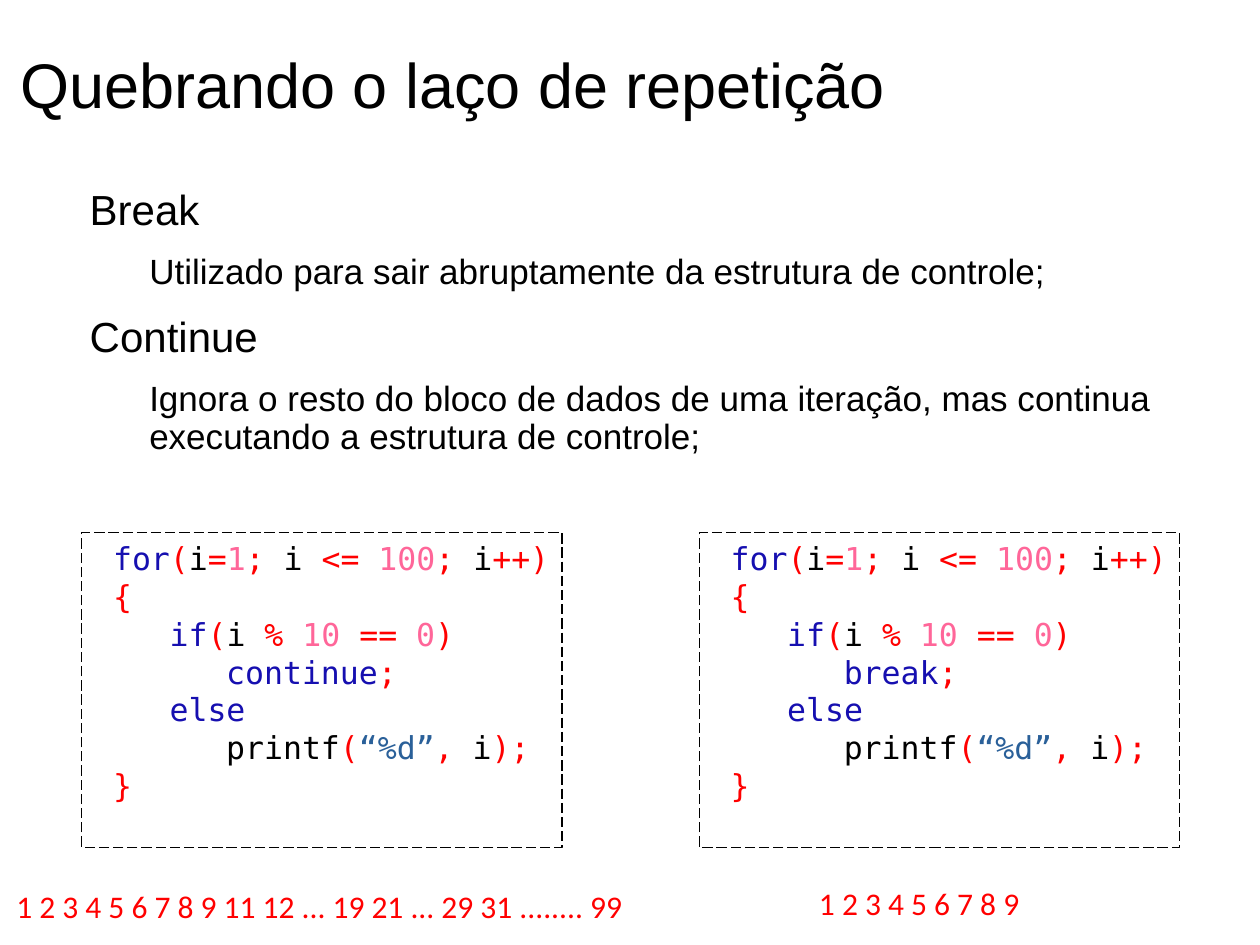
"""Build a slide on break and continue inside a C loop."""
from pptx import Presentation
from pptx import util as u
from pptx.dml.color import RGBColor
from pptx.enum import dml, shapes, text

COLORS = {"plain": "000000", "keyword": "160FB0", "symbol": "FF0000",
          "number": "FF6699", "string": "2A6099"}
CODE_FONT = "DejaVu Sans Mono"
CHARACTER_CM = 0.38

TITLE = "Quebrando o laço de repetição"
TOPICS = [
    ("Break", "Utilizado para sair abruptamente da estrutura de controle;"),
    ("Continue", "Ignora o resto do bloco de dados de uma iteração, mas continua "
                 "executando a estrutura de controle;"),
]
EXAMPLES = [
    {"keyword": "continue", "left": 1.65,
     "output": "1 2 3 4 5 6 7 8 9 11 12 ... 19 21 ... 29 31 ........ 99",
     "output_box": (0.08, 17.75, 12.73, 1.02)},
    {"keyword": "break", "left": 14.1,
     "output": "1 2 3 4 5 6 7 8 9",
     "output_box": (16.26, 17.7, 4.55, 1.02)},
]


def code_lines(keyword):
    """Return the loop as (indent in characters, coloured pieces)."""
    return [
        (1, [("for", "keyword"), ("(", "symbol"), ("i", "plain"), ("=", "symbol"),
             ("1", "number"), (";", "symbol"), (" i ", "plain"), ("<= ", "symbol"),
             ("100", "number"), (";", "symbol"), (" i", "plain"), ("++)", "symbol")]),
        (1, [("{", "symbol")]),
        (4, [("if", "keyword"), ("(", "symbol"), ("i ", "plain"), ("% ", "symbol"),
             ("10", "number"), (" == ", "symbol"), ("0", "number"), (")", "symbol")]),
        (7, [(keyword, "keyword"), (";", "symbol")]),
        (4, [("else", "keyword")]),
        (7, [("printf", "plain"), ("(", "symbol"), ("“%d”", "string"),
             (",", "symbol"), (" i", "plain"), (");", "symbol")]),
        (1, [("}", "symbol")]),
    ]


def write(frame, content, size=18, font="Arial", color="plain", indent=0,
          before=0, spacing=1.0):
    """Add a paragraph from a string or a list of (text, colour name)."""
    first = frame.paragraphs[0]
    paragraph = frame.add_paragraph() if first.runs else first
    paragraph.alignment = text.PP_ALIGN.LEFT
    paragraph.space_before = u.Pt(before)
    paragraph.line_spacing = spacing
    properties = paragraph._p.get_or_add_pPr()
    properties.set("marL", str(int(u.Cm(indent))))
    properties.set("indent", "0")
    pieces = [(content, color)] if isinstance(content, str) else content
    for words, name in pieces:
        run = paragraph.add_run()
        run.text = words
        run.font.size = u.Pt(size)
        run.font.name = font
        run.font.color.rgb = RGBColor.from_string(COLORS[name])


def prepare(shape, wrap=True, margins=(0.25, 0.13), anchor=text.MSO_ANCHOR.TOP):
    """Set up the text frame of a shape and return it."""
    frame = shape.text_frame
    frame.word_wrap = wrap
    frame.vertical_anchor = anchor
    frame.margin_left = frame.margin_right = u.Cm(margins[0])
    frame.margin_top = frame.margin_bottom = u.Cm(margins[1])
    return frame


def add_text_box(slide, box, **options):
    """Add a text box at a place in centimetres and return its frame."""
    return prepare(slide.shapes.add_textbox(*map(u.Cm, box)), **options)


def add_code_box(slide, left, keyword):
    """Add the dashed box that holds one loop."""
    box = map(u.Cm, (left, 10.74, 9.68, 6.35))
    shape = slide.shapes.add_shape(shapes.MSO_SHAPE.RECTANGLE, *box)
    shape.shadow.inherit = False
    shape.fill.background()
    shape.line.color.rgb = RGBColor.from_string(COLORS["plain"])
    shape.line.width = u.Pt(0)
    shape.line.dash_style = dml.MSO_LINE.LONG_DASH
    frame = prepare(shape, wrap=False)
    for characters, pieces in code_lines(keyword):
        write(frame, pieces, font=CODE_FONT, indent=characters * CHARACTER_CM)


def main():
    """Build and save the presentation."""
    presentation = Presentation()
    presentation.slide_width, presentation.slide_height = u.Cm(25.4), u.Cm(19.05)
    slide = presentation.slides.add_slide(presentation.slide_layouts[6])

    title = add_text_box(slide, (0.41, 0.33, 24.79, 2.69), margins=(0, 0),
                         anchor=text.MSO_ANCHOR.MIDDLE)
    write(title, TITLE, size=36)

    body = add_text_box(slide, (0.61, 3.81, 24.41, 14.6), margins=(0, 0))
    for heading, explanation in TOPICS:
        write(body, heading, size=24, indent=1.2, before=14.1, spacing=0.9)
        write(body, explanation, size=20, indent=2.4, before=11.3, spacing=0.9)

    for example in EXAMPLES:
        add_code_box(slide, example["left"], example["keyword"])
        output = add_text_box(slide, example["output_box"], wrap=False)
        write(output, example["output"], font="Calibri", color="symbol")

    presentation.save("out.pptx")


if __name__ == "__main__":
    main()
